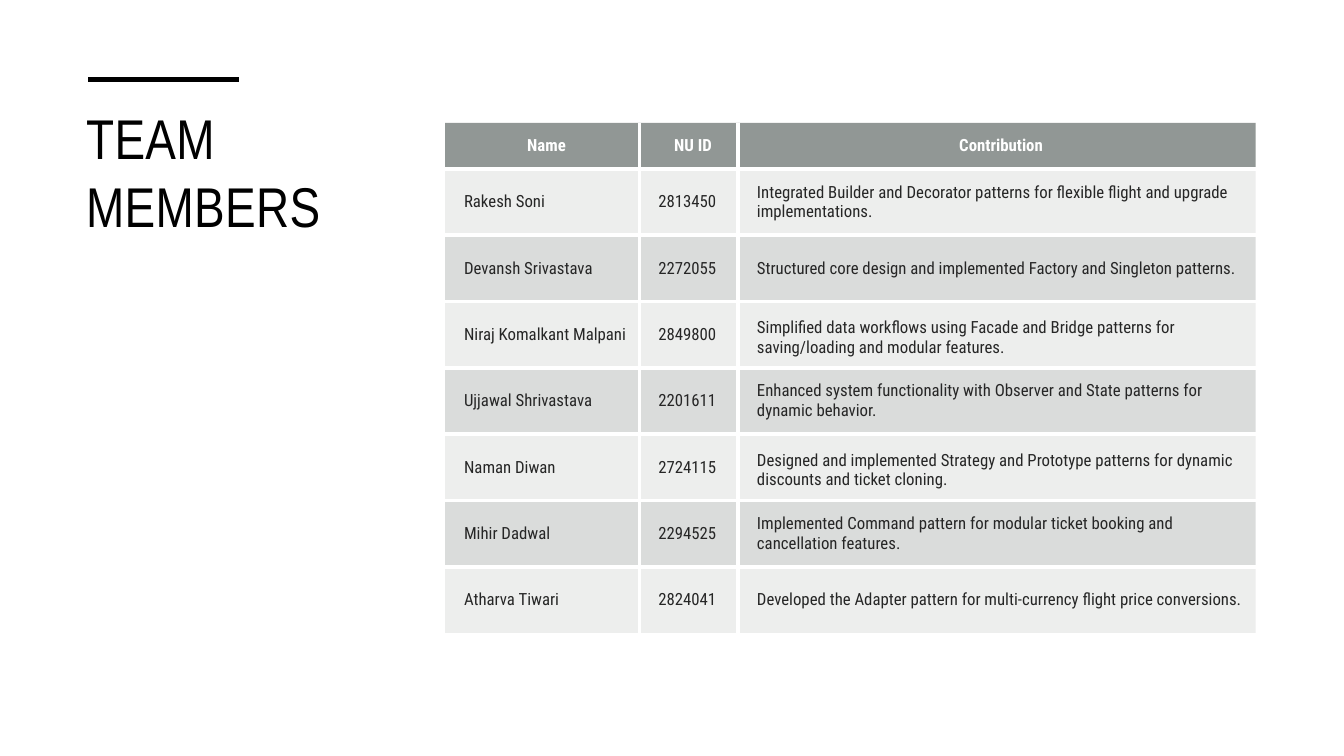
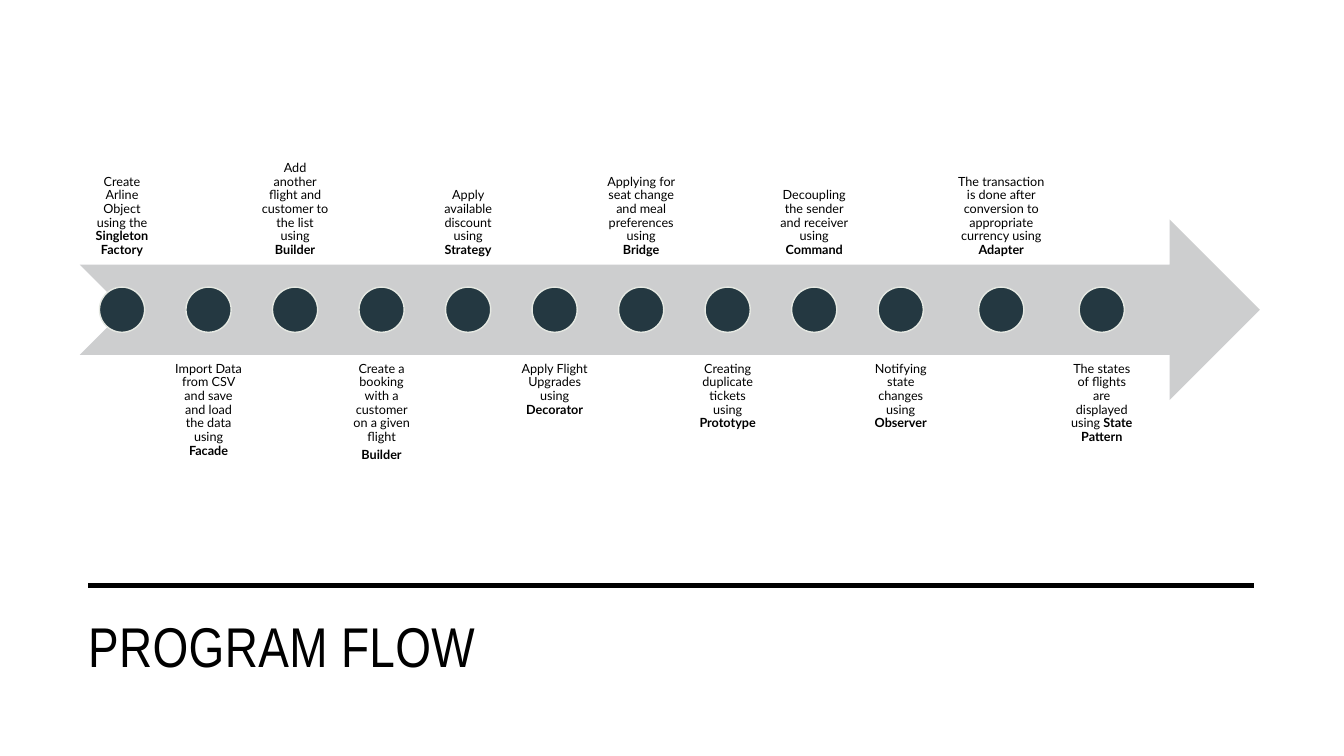
"""Builds the team members and program flow slides."""
from lxml import etree
from pptx import Presentation
from pptx.dml.color import RGBColor
from pptx.enum.shapes import MSO_CONNECTOR, MSO_SHAPE
from pptx.enum.text import MSO_ANCHOR, MSO_AUTO_SIZE, PP_ALIGN
from pptx.oxml.ns import qn
from pptx.util import Pt

STRAIGHT = MSO_CONNECTOR.STRAIGHT
ARROW, OVAL = MSO_SHAPE.NOTCHED_RIGHT_ARROW, MSO_SHAPE.OVAL
TOP, MIDDLE, BOTTOM = MSO_ANCHOR.TOP, MSO_ANCHOR.MIDDLE, MSO_ANCHOR.BOTTOM
LEFT, CENTER = PP_ALIGN.LEFT, PP_ALIGN.CENTER
NO_AUTOFIT = MSO_AUTO_SIZE.NONE

BLACK = RGBColor(0x00, 0x00, 0x00)
WHITE = RGBColor(0xFF, 0xFF, 0xFF)
INK = RGBColor(0x26, 0x26, 0x26)
HEADER_GREY = RGBColor(0x63, 0x6B, 0x68)
ROW_GREY = RGBColor(0x87, 0x8E, 0x8B)
ARROW_GREY = RGBColor(0xCD, 0xCE, 0xCF)
DOT_FILL = RGBColor(0x24, 0x38, 0x41)
DOT_LINE = RGBColor(0xE5, 0xE8, 0xE2)

TITLE_FONT, TABLE_FONT, LABEL_FONT = "Arial Narrow", "Roboto Condensed", "Lato"
EMU_PER_PX = 9525
NO_STYLE = "{2D5ABB26-0587-4C30-8999-92F81FD0307C}"

COLUMN_WIDTHS = (185, 94, 493)
HEADER_HEIGHT = 44
BOTTOM_CELLS = {(3, 2), (5, 2)}
MEMBERS = [
    ("Name", "NU ID", "Contribution"),
    ("Rakesh Soni", "2813450",
     "Integrated Builder and Decorator patterns for flexible flight and upgrade implementations."),
    ("Devansh Srivastava", "2272055",
     "Structured core design and implemented Factory and Singleton patterns."),
    ("Niraj Komalkant Malpani", "2849800",
     "Simplified data workflows using Facade and Bridge patterns for saving/loading and modular features."),
    ("Ujjawal Shrivastava", "2201611",
     "Enhanced system functionality with Observer and State patterns for dynamic behavior."),
    ("Naman Diwan", "2724115",
     "Designed and implemented Strategy and Prototype patterns for dynamic discounts and ticket cloning."),
    ("Mihir Dadwal", "2294525",
     "Implemented Command pattern for modular ticket booking and cancellation features."),
    ("Atharva Tiwari", "2824041",
     "Developed the Adapter pattern for multi-currency flight price conversions."),
]

STEP_GAP = 0.05
WIDE_STEPS = {10: 1.34}
STEPS = [
    [("Create Arline Object using the ", "Singleton Factory")],
    [("Import Data from CSV and save and load the data using ", "Facade")],
    [("Add another flight and customer to the list using ", "Builder")],
    [("Create a booking with a customer on a given flight", ""), ("", "Builder")],
    [("Apply available discount using ", "Strategy")],
    [("Apply Flight Upgrades using ", "Decorator")],
    [("Applying for seat change and meal preferences using ", "Bridge")],
    [("Creating duplicate tickets using ", "Prototype")],
    [("Decoupling the sender and receiver using ", "Command")],
    [("Notifying state changes using ", "Observer")],
    [("The transaction is done after conversion to appropriate currency using ", "Adapter")],
    [("The states of flights are displayed using ", "State Pattern")],
]


def px(n):
    """Turn pixels into EMU."""
    return round(n * EMU_PER_PX)


def add_run(p, text, font, size, color, bold=False):
    """Add one formatted run to a paragraph."""
    r = p.add_run()
    r.text = text
    r.font.name, r.font.size, r.font.bold = font, Pt(size), bold
    r.font.color.rgb = color
    return r


def set_margins(target, left, top, right, bottom):
    """Set the insets of a text frame or a table cell."""
    target.margin_left, target.margin_top = px(left), px(top)
    target.margin_right, target.margin_bottom = px(right), px(bottom)


def add_title_slide(prs, text, box, rule):
    """Add a slide with the shared title style and its black rule."""
    s = prs.slides.add_slide(prs.slide_layouts[5])
    sp = s.shapes.title
    sp.left, sp.top, sp.width, sp.height = map(px, box)
    tf = sp.text_frame
    tf.word_wrap, tf.auto_size, tf.vertical_anchor = True, NO_AUTOFIT, TOP
    set_margins(tf, 10, 5, 10, 5)
    p = tf.paragraphs[0]
    p.alignment = LEFT
    r = add_run(p, text, TITLE_FONT, 40, BLACK)
    r.font._element.set("spc", "30")

    x, y, w = rule
    line = s.shapes.add_connector(STRAIGHT, px(x), px(y), px(x + w), px(y))
    line.line.color.rgb, line.line.width = BLACK, Pt(3.5)
    etree.SubElement(line.element.spPr, qn("a:effectLst"))
    return s


def fill_cell(cell, color, alpha, edges):
    """Give a cell a translucent fill and white borders on the named edges."""
    cell.fill.solid()
    cell.fill.fore_color.rgb = color
    tc_pr = cell._tc.get_or_add_tcPr()
    clr = tc_pr.find(qn("a:solidFill"))[0]
    etree.SubElement(clr, qn("a:alpha"), val=str(alpha * 1000))
    for i, edge in enumerate(edges):
        ln = etree.Element(qn(f"a:ln{edge}"), w=str(Pt(3)))
        fill = etree.SubElement(ln, qn("a:solidFill"))
        etree.SubElement(fill, qn("a:srgbClr"), val=str(WHITE))
        tc_pr.insert(i, ln)


def add_member_table(s, x, y, w, h):
    """Add the table of members, filling the given box."""
    rows, cols = len(MEMBERS), len(COLUMN_WIDTHS)
    frame = s.shapes.add_table(rows, cols, px(x), px(y), px(w), px(h))
    for style in frame.element.iter(qn("a:tableStyleId")):
        style.text = NO_STYLE
    table = frame.table
    for column, width in zip(table.columns, COLUMN_WIDTHS):
        column.width = px(width * w / sum(COLUMN_WIDTHS))
    for i, member in enumerate(MEMBERS):
        head = i == 0
        table.rows[i].height = px(HEADER_HEIGHT if head else (h - HEADER_HEIGHT) / (rows - 1))
        for j, text in enumerate(member):
            cell = table.cell(i, j)
            inner = {"L": j > 0, "R": j < cols - 1, "T": i > 0, "B": i < rows - 1}
            edges = [edge for edge, shown in inner.items() if shown]
            color, alpha = (HEADER_GREY, 70) if head else (ROW_GREY, 15 if i % 2 else 30)
            fill_cell(cell, color, alpha, edges)
            set_margins(cell, 18, 10, 10, 10)
            cell.vertical_anchor = BOTTOM if (i, j) in BOTTOM_CELLS else MIDDLE
            p = cell.text_frame.paragraphs[0]
            p.alignment = CENTER if head else LEFT
            add_run(p, text, TABLE_FONT, 12, WHITE if head else INK, head)


def add_shape(s, kind, x, y, w, h, color):
    """Add a flat preset shape without an outline."""
    sp = s.shapes.add_shape(kind, px(x), px(y), px(w), px(h))
    sp.shadow.inherit = False
    sp.fill.solid()
    sp.fill.fore_color.rgb = color
    sp.line.fill.background()
    return sp


def add_step_label(s, paragraphs, anchor, x, y, w, h):
    """Add the centred text of one step."""
    tf = s.shapes.add_textbox(px(x), px(y), px(w), px(h)).text_frame
    tf.word_wrap, tf.vertical_anchor = True, anchor
    set_margins(tf, 7, 7, 7, 7)
    for i, (text, pattern) in enumerate(paragraphs):
        p = tf.add_paragraph() if i else tf.paragraphs[0]
        p.alignment, p.line_spacing, p.space_after = CENTER, 0.9, Pt(3)
        if text:
            add_run(p, text, LABEL_FONT, 9, BLACK)
        if pattern:
            add_run(p, pattern, LABEL_FONT, 9, BLACK, True)


def add_timeline(s, x, y, w, h):
    """Add the arrow with dots and labels alternating above and below it."""
    add_shape(s, ARROW, x, y + 0.3 * h, w, 0.4 * h, ARROW_GREY)
    shares = [WIDE_STEPS.get(i, 1) for i in range(len(STEPS))]
    unit = 0.9 * w / (sum(shares) + STEP_GAP * (len(STEPS) - 1))
    dot = 0.1 * h
    left = x + 1
    for i, (paragraphs, share) in enumerate(zip(STEPS, shares)):
        width = share * unit
        below = i % 2
        add_step_label(s, paragraphs, TOP if below else BOTTOM,
                       left, y + 0.6 * h * below, width, 0.4 * h)
        sp = add_shape(s, OVAL, left + (width - dot) / 2, y + (h - dot) / 2, dot, dot, DOT_FILL)
        sp.line.color.rgb, sp.line.width = DOT_LINE, Pt(1)
        left += width + STEP_GAP * unit


def main():
    """Build and save the presentation."""
    prs = Presentation()
    prs.slide_width, prs.slide_height = px(1280), px(720)
    s = add_title_slide(prs, "TEAM MEMBERS", (72, 94, 323, 411), (84, 76, 144))
    add_member_table(s, 424, 117, 772, 486)
    s = add_title_slide(prs, "PROGRAM FLOW", (74, 577, 1126, 80), (84, 558, 1110))
    add_timeline(s, 76, 80, 1124, 430)
    prs.save("out.pptx")


if __name__ == "__main__":
    main()
